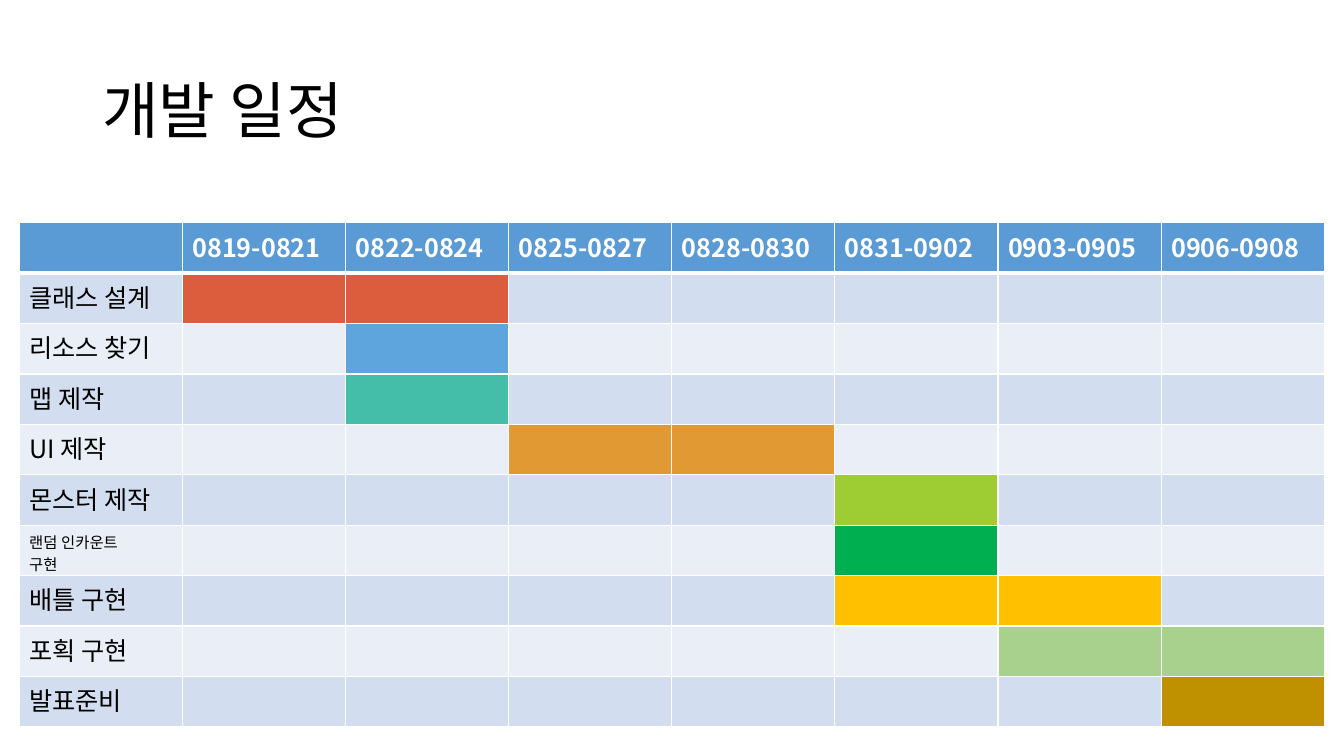
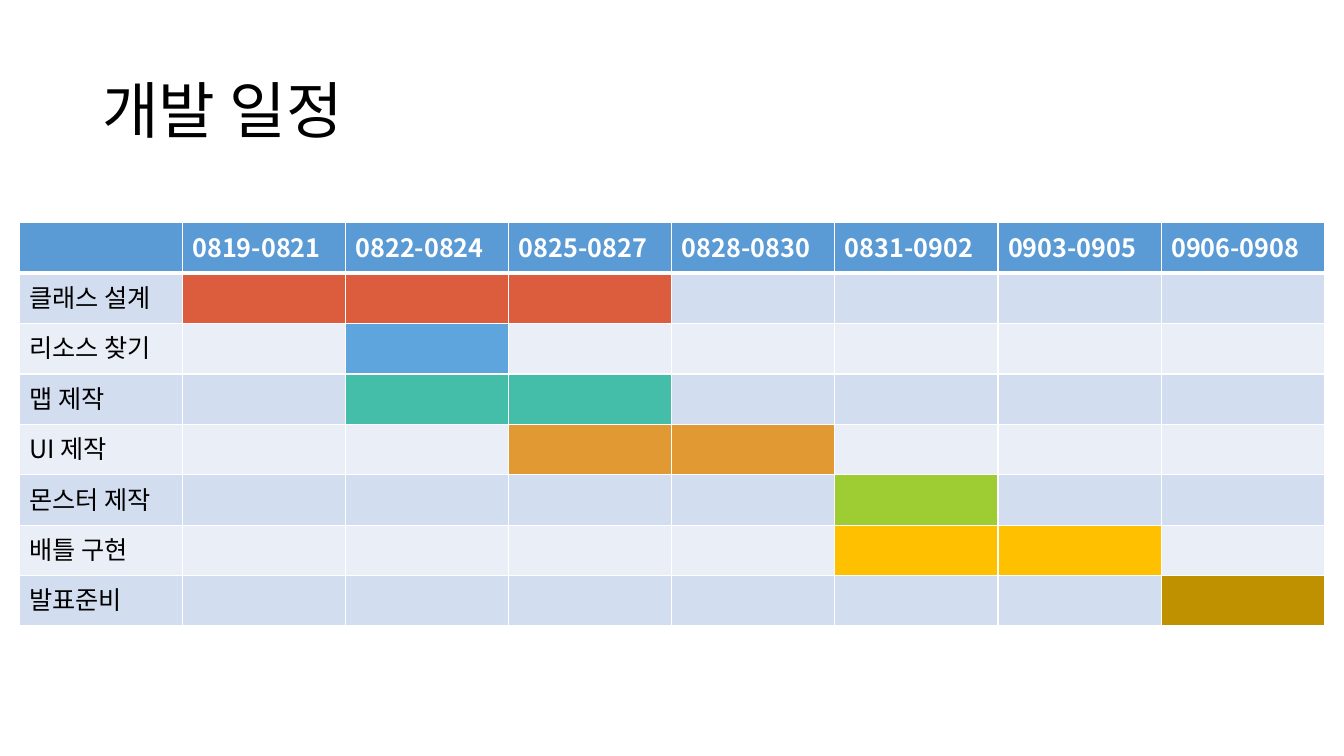
from pptx import Presentation
from pptx.dml.color import RGBColor
from pptx.enum import text
from pptx.oxml import parse_xml
from pptx.oxml.ns import nsdecls
from pptx.util import Pt

TITLE = "개발 일정"
DATES = ["0819-0821", "0822-0824", "0825-0827", "0828-0830",
         "0831-0902", "0903-0905", "0906-0908"]
TASKS = {
    "클래스 설계": "DC5D3D",
    "리소스 찾기": "5EA5DD",
    "맵 제작": "44BEA9",
    "UI 제작": "E19933",
    "몬스터 제작": "9ECD33",
    "랜덤 인카운트\n구현": "00B050",
    "배틀 구현": "FFC000",
    "포획 구현": "A9D18E",
    "발표준비": "BF9000",
}
PLANS = [
    [("클래스 설계", 1, 2), ("리소스 찾기", 2, 2), ("맵 제작", 2, 2),
     ("UI 제작", 3, 4), ("몬스터 제작", 5, 5), ("랜덤 인카운트\n구현", 5, 5),
     ("배틀 구현", 5, 6), ("포획 구현", 6, 7), ("발표준비", 7, 7)],
    [("클래스 설계", 1, 3), ("리소스 찾기", 2, 2), ("맵 제작", 2, 3),
     ("UI 제작", 3, 4), ("몬스터 제작", 5, 5), ("배틀 구현", 5, 6),
     ("발표준비", 7, 7)],
]
HEAD, BANDS = "5B9BD5", ["D2DEEF", "EAEFF7"]
WHITE, BLACK = "FFFFFF", "000000"
SANS, LATIN = "Noto Sans CJK KR", "Roboto"
LEFT, TOP, COL, ROW = 13.7, 159.1, 116.55, 36


def color(code):
    return RGBColor.from_string(code)


def style(frame, size, tint, bold=False, face=SANS):
    for par in frame.paragraphs:
        for run in par.runs:
            font = run.font
            font.size, font.bold, font.name = Pt(size), bold, face
            font.color.rgb = color(tint)
            font._element.find("{*}latin").addnext(
                parse_xml(f'<a:ea {nsdecls("a")} typeface="{SANS}"/>'))


def paint(cell, code, top=1, base=1):
    cell.fill.solid()
    cell.fill.fore_color.rgb = color(code)
    props = cell._tc.get_or_add_tcPr()
    for i, (side, width) in enumerate(zip("LRTB", (1, 1, top, base))):
        props.insert(i, parse_xml(
            f'<a:ln{side} {nsdecls("a")} w="{Pt(width)}"><a:solidFill>'
            f'<a:srgbClr val="{WHITE}"/></a:solidFill></a:ln{side}>'))


def add_title(slide):
    frame = slide.shapes.add_textbox(Pt(66), Pt(28.8), Pt(828), Pt(104.4)).text_frame
    frame.word_wrap = True
    frame.vertical_anchor = text.MSO_ANCHOR.MIDDLE
    frame.text = TITLE
    frame.paragraphs[0].line_spacing = 0.9
    style(frame, 44, BLACK, face=LATIN)


def add_plan(slide, plan):
    rows, cols = len(plan) + 1, len(DATES) + 1
    grid = slide.shapes.add_table(rows, cols, Pt(LEFT), Pt(TOP),
                                  Pt(COL * cols), Pt(ROW * rows)).table
    for col in grid.columns:
        col.width = Pt(COL)
    for row in grid.rows:
        row.height = Pt(ROW)
    for c, label in enumerate([""] + DATES):
        cell = grid.cell(0, c)
        paint(cell, HEAD, base=3)
        if label:
            cell.text_frame.text = label
            style(cell.text_frame, 18, WHITE, bold=True)
    for r, (task, start, end) in enumerate(plan, 1):
        for c in range(cols):
            busy = start <= c <= end
            paint(grid.cell(r, c), TASKS[task] if busy else BANDS[(r - 1) % 2],
                  top=3 if r == 1 else 1)
        frame = grid.cell(r, 0).text_frame
        frame.text = task
        style(frame, 11 if "\n" in task else 18, BLACK)


def main():
    deck = Presentation()
    deck.slide_width, deck.slide_height = Pt(960), Pt(540)
    for plan in PLANS:
        slide = deck.slides.add_slide(deck.slide_layouts[6])
        add_title(slide)
        add_plan(slide, plan)
    deck.save("out.pptx")


if __name__ == "__main__":
    main()
